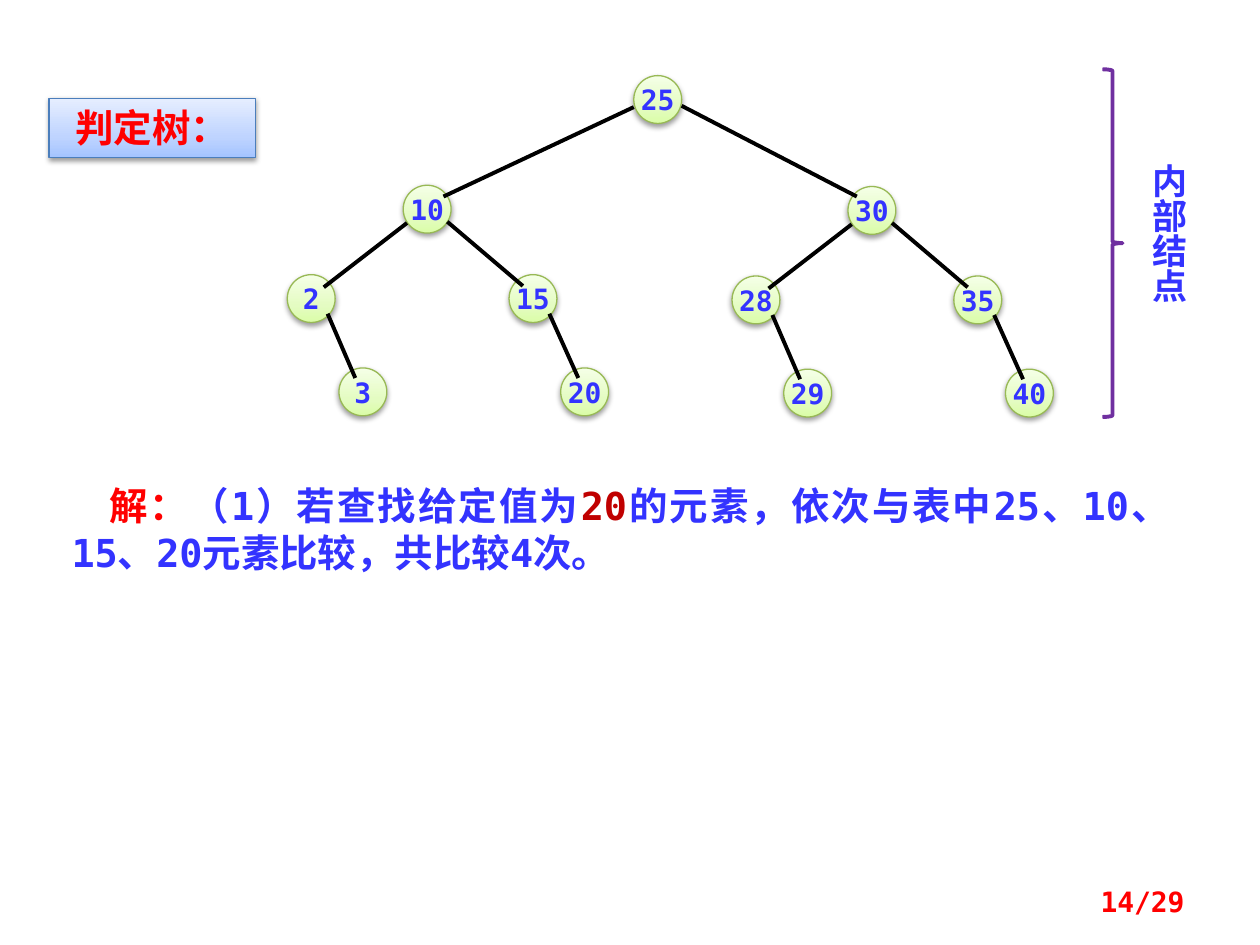
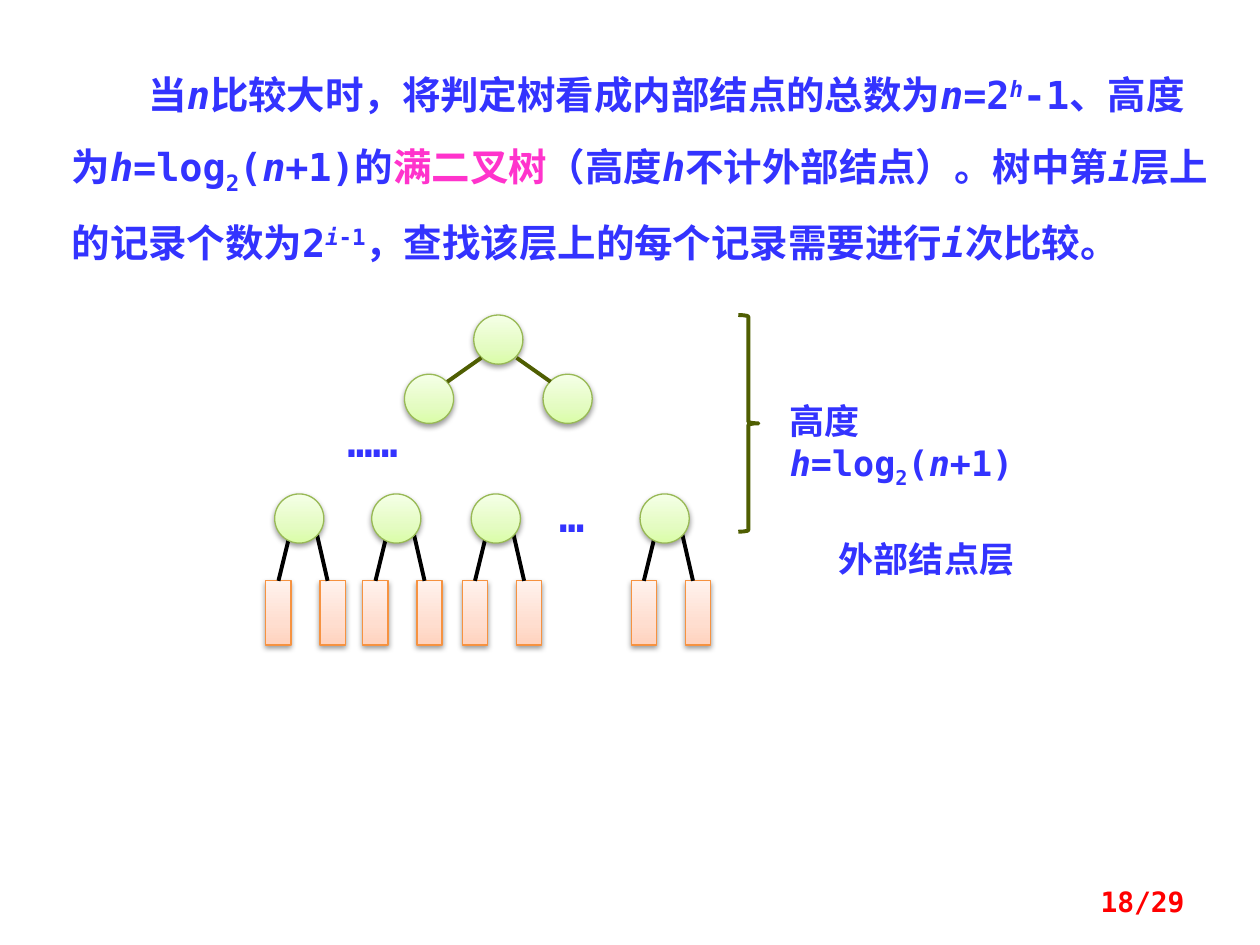
from lxml.etree import SubElement
from copy import deepcopy
from pptx import Presentation
from pptx.dml.color import RGBColor
from pptx.enum.shapes import MSO_CONNECTOR, MSO_SHAPE
from pptx.enum.text import MSO_ANCHOR, MSO_AUTO_SIZE, PP_ALIGN
from pptx.oxml.ns import qn
from pptx.util import Inches, Pt

FONT = "DejaVu Sans Mono"
COLORS = {
    "text": "3333FF", "red": "FF0000", "dark_red": "C00000", "pink": "FF33CC",
    "edge": "000000", "purple": "7030A0", "olive": "4F5E02",
}
GRADIENTS = {
    "node": ("98B955", "DAFDA7", "E4FCC2", "F5FFE7"),
    "label": ("4B7EBC", "A4C4FF", "BFD4FF", "E6EEFF"),
    "external": ("F69240", "FFD2BD", "FFDED0", "FFF2ED"),
}
BASELINES = {"^": "30000", "_": "-25000"}
PAGE_COUNT = 29


def rgb(name):
    return RGBColor.from_string(COLORS[name])


def add_runs(para, runs, size, color="text"):
    for text, style, *own_color in runs:
        span = para.add_run()
        span.text = text
        font = span.font
        font.name, font.size, font.bold = FONT, Pt(size), True
        font.italic = "i" in style
        font.color.rgb = rgb(own_color[0] if own_color else color)
        properties = span._r.get_or_add_rPr()
        properties.set("lang", "zh-CN")
        for mark, offset in BASELINES.items():
            if mark in style:
                properties.set("baseline", offset)
        SubElement(properties, qn("a:ea")).set("typeface", FONT)


def add_text(page, area, runs, size, color="text", align=None, grow=True):
    box = page.shapes.add_textbox(*map(Inches, area))
    frame = box.text_frame
    frame.word_wrap = True
    if grow:
        frame.auto_size = MSO_AUTO_SIZE.SHAPE_TO_FIT_TEXT
    para = frame.paragraphs[0]
    para.alignment = align
    add_runs(para, runs, size, color)
    return box


def indent_first_line(box, width):
    properties = box.text_frame.paragraphs[0]._p.get_or_add_pPr()
    properties.set("marL", "0")
    properties.set("indent", str(Inches(width)))


def add_gradient_shape(page, kind, area, scheme):
    shape = page.shapes.add_shape(kind, *map(Inches, area))
    line_color, *stop_colors = GRADIENTS[scheme]
    shape.line.color.rgb = RGBColor.from_string(line_color)
    shape.line.width = Pt(0.75)
    shape.fill.gradient()
    shape.fill.gradient_angle = 90
    properties = shape._element.spPr
    stop_list = properties.find(".//" + qn("a:gsLst"))
    stop_list.append(deepcopy(stop_list[0]))
    for stop, position, color in zip(shape.fill.gradient_stops, (0, 0.35, 1), stop_colors):
        stop.position = position
        stop.color.rgb = RGBColor.from_string(color)
    shape.shadow.inherit = False
    shadow = SubElement(properties.find(qn("a:effectLst")), qn("a:outerShdw"),
                        blurRad=str(Pt(3.1)), dist=str(Pt(1.6)), dir="5400000", rotWithShape="0")
    black = SubElement(shadow, qn("a:srgbClr"), val="000000")
    SubElement(black, qn("a:alpha"), val="38000")
    return shape


def add_node(page, left, top, size, value=""):
    node = add_gradient_shape(page, MSO_SHAPE.OVAL, (left, top, size, size), "node")
    if value:
        frame = node.text_frame
        frame.word_wrap = False
        frame.vertical_anchor = MSO_ANCHOR.MIDDLE
        frame.margin_left = frame.margin_right = frame.margin_top = frame.margin_bottom = 0
        frame.paragraphs[0].alignment = PP_ALIGN.CENTER
        add_runs(frame.paragraphs[0], [(value, "")], 16)


def add_edge(page, start, end, color="edge"):
    edge = page.shapes.add_connector(MSO_CONNECTOR.STRAIGHT, *map(Inches, (*start, *end)))
    edge.line.color.rgb = rgb(color)
    edge.line.width = Pt(2.25)
    SubElement(edge._element.spPr, qn("a:effectLst"))
    return edge


def add_brace(page, area, color):
    brace = page.shapes.add_shape(MSO_SHAPE.RIGHT_BRACE, *map(Inches, area))
    brace.fill.background()
    brace.line.color.rgb = rgb(color)
    brace.line.width = Pt(2.25)
    brace.shadow.inherit = False


def add_page_number(page, number):
    box = add_text(page, (7.17, 6.95, 2.33, 0.4), [(f"{number}/{PAGE_COUNT}", "")],
                   16, "red", PP_ALIGN.RIGHT, grow=False)
    box.text_frame.vertical_anchor = MSO_ANCHOR.MIDDLE


def add_subtree(page, left, top, values):
    offsets = ((0, 0), (-0.92, 0.71), (0.84, 0.71), (-0.41 - 0.1, 1.45), (1.25, 1.45))
    for value, (right, down) in zip(values, offsets):
        add_node(page, left + right, top + down, 0.38, value)
    edges = (
        (0.03, 0.3, -0.63, 0.81), (0.35, 0.29, 0.95, 0.8),
        (-0.6, 1.02, -0.38, 1.53), (1.16, 1.02, 1.39, 1.53),
    )
    for x1, y1, x2, y2 in edges:
        add_edge(page, (left + x1, top + y1), (left + x2, top + y2))


def add_bottom_node(page, left, top):
    boxes = [
        add_gradient_shape(page, MSO_SHAPE.RECTANGLE, (left + shift, top + 0.69, 0.2, 0.51), "external")
        for shift in (-0.07, 0.36)
    ]
    left_edge = add_edge(page, (left + 0.15, top + 0.2), (left + 0.03, top + 0.69))
    left_edge.end_connect(boxes[0], 0)
    add_edge(page, (left + 0.31, top + 0.21), (left + 0.42, top + 0.69))
    add_node(page, left, top, 0.39)


def build_decision_tree(page):
    answer = add_text(page, (0.47, 3.78, 8.91, 0.84), [
        ("解：", "", "red"), ("（1）若查找给定值为", ""), ("20", "", "dark_red"),
        ("的元素，依次与表中25、10、15、20元素比较，共比较4次。", ""),
    ], 22, align=PP_ALIGN.JUSTIFY)
    indent_first_line(answer, 0.3)
    add_subtree(page, 3.2, 1.47, ("10", "2", "15", "3", "20"))
    add_subtree(page, 6.73, 1.48, ("30", "28", "35", "29", "40"))
    add_node(page, 5.03, 0.6, 0.38, "25")
    add_edge(page, (5.03, 0.85), (3.52, 1.56))
    add_edge(page, (5.41, 0.84), (6.8, 1.56))
    add_brace(page, (8.75, 0.55, 0.16, 2.76), "purple")
    inner_nodes = add_text(page, (8.95, 1.2, 0.54, 1.41), [("内部结点", "")], 20)
    inner_nodes.text_frame._txBody.bodyPr.set("vert", "eaVert")
    label = add_gradient_shape(page, MSO_SHAPE.RECTANGLE, (0.39, 0.78, 1.64, 0.47), "label")
    label.text_frame.vertical_anchor = MSO_ANCHOR.TOP
    label.text_frame.word_wrap = True
    label.text_frame.auto_size = MSO_AUTO_SIZE.SHAPE_TO_FIT_TEXT
    label.text_frame.paragraphs[0].alignment = PP_ALIGN.CENTER
    add_runs(label.text_frame.paragraphs[0], [("判定树：", "")], 22, "red")
    add_page_number(page, 14)


def build_full_tree(page):
    height = [("h", "i"), ("=log", ""), ("2", "_"), ("(", ""), ("n", "i")]
    statement = add_text(page, (0.47, 0.33, 9.29, 1.7), [
        ("当", ""), ("n", "i"), ("比较大时，将判定树看成内部结点的总数为", ""), ("n", "i"),
        ("=2", ""), ("h", "i^"), ("-1、高度为", ""), *height, ("+1)的", ""),
        ("满二叉树", "", "pink"), ("（高度", ""), ("h", "i"),
        ("不计外部结点）。树中第", ""), ("i", "i"), ("层上的记录个数为2", ""),
        ("i", "i^"), ("-1", "^"), ("，查找该层上的每个记录需要进行", ""), ("i", "i"), ("次比较。", ""),
    ], 22)
    statement.text_frame.paragraphs[0].line_spacing = 1.5
    indent_first_line(statement, 0.61)
    for left, top in ((3.76, 2.5), (3.21, 2.97), (4.31, 2.97)):
        add_node(page, left, top, 0.39)
    for start, end in ((3.82, 3.55), (4.1, 4.37)):
        add_edge(page, (start, 2.84), (end, 3.03), "olive")
    for left in (2.18, 2.95, 3.74, 5.08):
        add_bottom_node(page, left, 3.92)
    add_text(page, (2.66, 3.25, 2.76, 0.5), [("……", "")], 24)
    add_text(page, (4.34, 3.84, 0.47, 0.5), [("…", "")], 24)
    add_text(page, (6.56, 4.22, 2.2, 0.44), [("外部结点层", "")], 20)
    add_text(page, (6.17, 3.12, 2.68, 0.44), [("高度 ", ""), *height, ("+1)", "")], 20)
    add_brace(page, (5.86, 2.5, 0.16, 1.72), "olive")
    add_page_number(page, 18)


def main():
    deck = Presentation()
    deck.slide_width, deck.slide_height = Inches(10), Inches(7.5)
    for build in (build_decision_tree, build_full_tree):
        build(deck.slides.add_slide(deck.slide_layouts[6]))
    deck.save("out.pptx")


if __name__ == "__main__":
    main()
